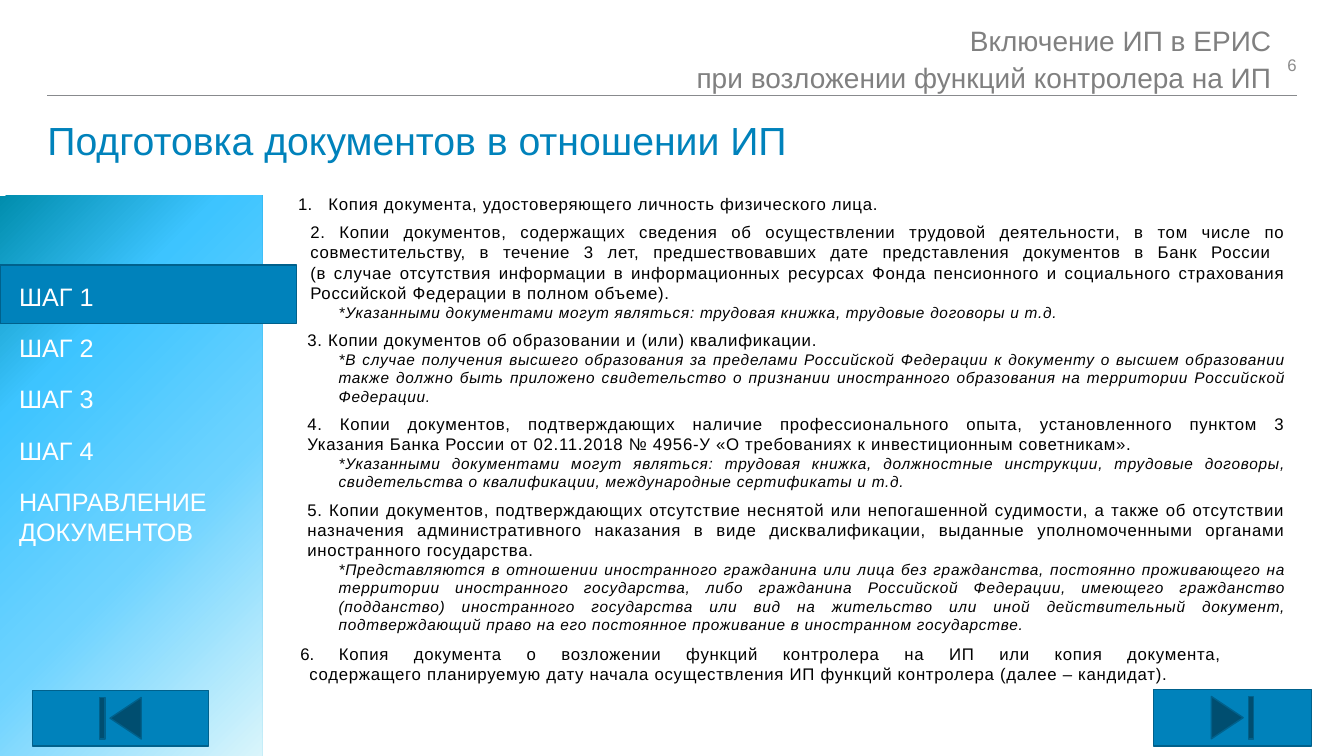
import copy

import pptx
import pptx.dml.color
import pptx.enum.shapes
import pptx.enum.text
import pptx.oxml
import pptx.oxml.ns
import pptx.util
from pptx.util import Inches

RGBColor = pptx.dml.color.RGBColor
SHAPE = pptx.enum.shapes.MSO_SHAPE
ALIGN = pptx.enum.text.PP_ALIGN
ANCHOR = pptx.enum.text.MSO_ANCHOR
qn = pptx.oxml.ns.qn

BLUE = RGBColor(0x00, 0x82, 0xBB)
EDGE = RGBColor(0x00, 0x61, 0x8C)
RULE = RGBColor(0x88, 0x8A, 0x8D)
GREY = RGBColor(0x80, 0x80, 0x80)
PAGE_GREY = RGBColor(0x8C, 0x8C, 0x8C)
WHITE = RGBColor(0xFF, 0xFF, 0xFF)
BLACK = RGBColor(0x00, 0x00, 0x00)
SIDE_STOPS = [
    (0, RGBColor(0xD9, 0xF5, 0xFB)),
    (39, RGBColor(0x6E, 0xD3, 0xFF)),
    (73, RGBColor(0x3D, 0xC4, 0xFF)),
    (100, RGBColor(0x00, 0x8D, 0xAD)),
]

STEPS = ["ШАГ 1", "ШАГ 2", "ШАГ 3", "ШАГ 4", "НАПРАВЛЕНИЕ ДОКУМЕНТОВ"]

# Each item: text, left margin in inches, note below it
DOCUMENTS = [
    ("2. Копии документов, содержащих сведения об осуществлении трудовой деятельности, в том числе по "
     "совместительству, в течение 3 лет, предшествовавших дате представления документов в Банк России \n"
     "(в случае отсутствия информации в информационных ресурсах Фонда пенсионного и социального страхования "
     "Российской Федерации в полном объеме).", 0.12,
     "*Указанными документами могут являться: трудовая книжка, трудовые договоры и т.д."),
    ("3. Копии документов об образовании и (или) квалификации.", 0.09,
     "*В случае получения высшего образования за пределами Российской Федерации к документу о высшем "
     "образовании также должно быть приложено свидетельство о признании иностранного образования на "
     "территории Российской Федерации."),
    ("4. Копии документов, подтверждающих наличие профессионального опыта, установленного пунктом 3\n"
     "Указания Банка России от 02.11.2018 № 4956-У «О требованиях к инвестиционным советникам».", 0.09,
     "*Указанными документами могут являться: трудовая книжка, должностные инструкции, трудовые договоры, "
     "свидетельства о квалификации, международные сертификаты и т.д."),
    ("5. Копии документов, подтверждающих отсутствие неснятой или непогашенной судимости, а также об "
     "отсутствии назначения административного наказания в виде дисквалификации, выданные уполномоченными "
     "органами иностранного государства.", 0.09,
     "*Представляются в отношении иностранного гражданина или лица без гражданства, постоянно проживающего "
     "на территории иностранного государства, либо гражданина Российской Федерации, имеющего гражданство "
     "(подданство) иностранного государства или вид на жительство или иной действительный документ, "
     "подтверждающий право на его постоянное проживание в иностранном государстве."),
]


def add_box(page, left, top, width, height, inset=True, anchor=ANCHOR.TOP):
    """Add an empty wrapping text box and return its text frame."""
    box = page.shapes.add_textbox(Inches(left), Inches(top), Inches(width), Inches(height))
    frame = box.text_frame
    frame.word_wrap = True
    frame.vertical_anchor = anchor
    if not inset:
        frame.margin_left = frame.margin_right = frame.margin_top = frame.margin_bottom = 0
    return frame


def write(frame, text, size=12, color=BLACK, align=ALIGN.LEFT, italic=False, spacing=None,
          before=0, after=0, margin=0, indent=0, number=None, tracking=0):
    """Write one paragraph, filling the first one while it is empty."""
    para = frame.paragraphs[0] if not frame.text else frame.add_paragraph()
    para.text = text
    para.alignment = align
    para.space_before, para.space_after = pptx.util.Pt(before), pptx.util.Pt(after)
    if spacing:
        para.line_spacing = spacing
    props = para._p.get_or_add_pPr()
    props.set("marL", str(Inches(margin)))
    props.set("indent", str(Inches(indent)))
    if number:
        bullet = props.makeelement(qn("a:buAutoNum"), {"type": "arabicPeriod", "startAt": str(number)})
        props.append(bullet)
    for span in para.runs:
        span.font.name = "Arial"
        span.font.size = pptx.util.Pt(size)
        span.font.italic = italic
        span.font.color.rgb = color
        if tracking:
            span._r.get_or_add_rPr().set("spc", str(int(tracking * 100)))
    for line_break in para._p.findall(qn("a:br")):
        line_break.append(copy.deepcopy(para.runs[0]._r.rPr))


def add_panel(page, kind, left, top, width, height):
    panel = page.shapes.add_shape(kind, Inches(left), Inches(top), Inches(width), Inches(height))
    panel.shadow.inherit = False
    panel.fill.solid()
    panel.fill.fore_color.rgb = BLUE
    panel.line.color.rgb = EDGE
    panel.line.width = pptx.util.Pt(1)
    return panel


def fill_radial(shape, stops):
    """Replace the fill by a circular gradient centred on the lower right corner."""
    marks = "".join(f'<a:gs pos="{pos * 1000}"><a:srgbClr val="{color}"/></a:gs>' for pos, color in stops)
    gradient = pptx.oxml.parse_xml(
        f'<a:gradFill {pptx.oxml.ns.nsdecls("a")} rotWithShape="1"><a:gsLst>{marks}</a:gsLst>'
        '<a:path path="circle"><a:fillToRect l="100000" t="100000"/></a:path></a:gradFill>')
    solid = shape._element.spPr.find(qn("a:solidFill"))
    solid.getparent().replace(solid, gradient)


def add_header(page, left, top, width):
    rule = page.shapes.add_connector(pptx.enum.shapes.MSO_CONNECTOR.STRAIGHT, Inches(left),
                                     Inches(top + 0.75), Inches(left + width), Inches(top + 0.75))
    rule.line.color.rgb = RULE
    rule.line.width = pptx.util.Pt(0.5)
    rule._element.spPr.append(rule._element.makeelement(qn("a:effectLst"), {}))
    write(add_box(page, left, top + 1.01, width, 0.66, inset=False),
          "Подготовка документов в отношении ИП", size=28, color=BLUE, spacing=0.9)
    write(add_box(page, left + width - 0.81, top + 0.27, 0.81, 0.35, inset=False, anchor=ANCHOR.MIDDLE),
          "6", color=PAGE_GREY, align=ALIGN.RIGHT)
    write(add_box(page, left - 0.25, top, width, 0.66, inset=False),
          "Включение ИП в ЕРИС\nпри возложении функций контролера на ИП",
          size=20, color=GREY, align=ALIGN.RIGHT, spacing=1.1)


def add_sidebar(page, left, top, width, height):
    # The panel is laid out on its side and then turned upright
    panel = add_panel(page, SHAPE.RECTANGLE, left + (width - height) / 2,
                      top + (height - width) / 2, height, width)
    panel.rotation = 90
    panel.line.fill.background()
    fill_radial(panel, SIDE_STOPS)
    add_panel(page, SHAPE.RECTANGLE, left, top + 0.69, 2.94, 0.58)
    frame = add_box(page, left + 0.09, top + 0.8, width - 0.08, 2.76)
    for step in STEPS:
        write(frame, step, size=18, color=WHITE, after=15)


def add_documents(page, left, top, width):
    body = {"align": ALIGN.JUSTIFY, "tracking": 0.5}
    frame = add_box(page, left, top, width, 4.6)
    write(frame, "Копия документа, удостоверяющего личность физического лица.",
          margin=0.3, indent=-0.3, number=1, **body)
    for text, margin, note in DOCUMENTS:
        write(frame, text, margin=margin, before=6, **body)
        write(frame, note, size=11, italic=True, margin=0.4, **body)
    write(add_box(page, left + 0.02, top + 4.47, width - 0.41, 0.5),
          " Копия документа о возложении функций контролера на ИП или копия документа, \n"
          "содержащего планируемую дату начала осуществления ИП функций контролера (далее – кандидат).",
          margin=0.09, indent=-0.09, number=6, **body)


def main():
    deck = pptx.Presentation()
    deck.slide_width, deck.slide_height = Inches(13.33), Inches(7.5)
    page = deck.slides.add_slide(deck.slide_layouts[6])
    add_header(page, 0.47, 0.2, 12.39)
    add_sidebar(page, 0, 1.94, 2.6, 5.56)
    add_panel(page, SHAPE.ACTION_BUTTON_BEGINNING, 0.32, 6.85, 1.75, 0.55)
    add_panel(page, SHAPE.ACTION_BUTTON_END, 11.44, 6.84, 1.57, 0.56)
    add_documents(page, 2.86, 1.87, 10)
    deck.save("out.pptx")


if __name__ == "__main__":
    main()
